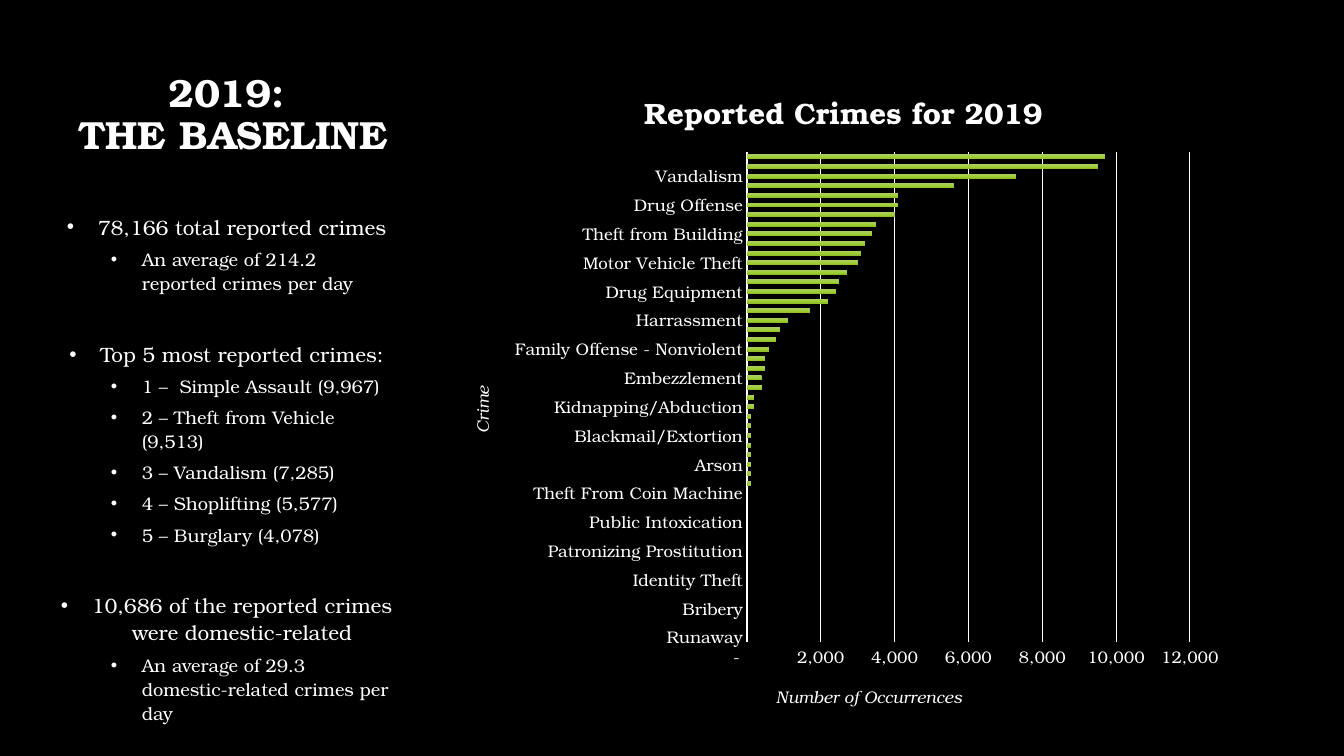
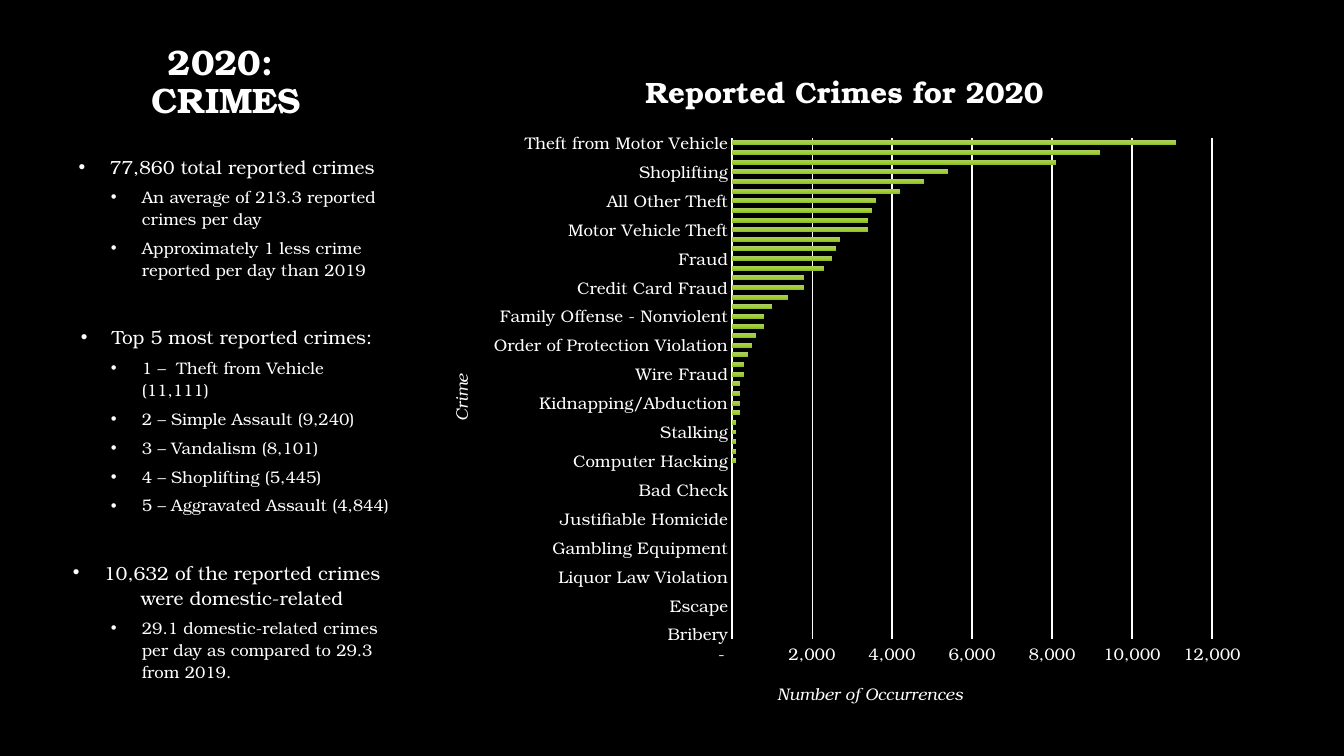
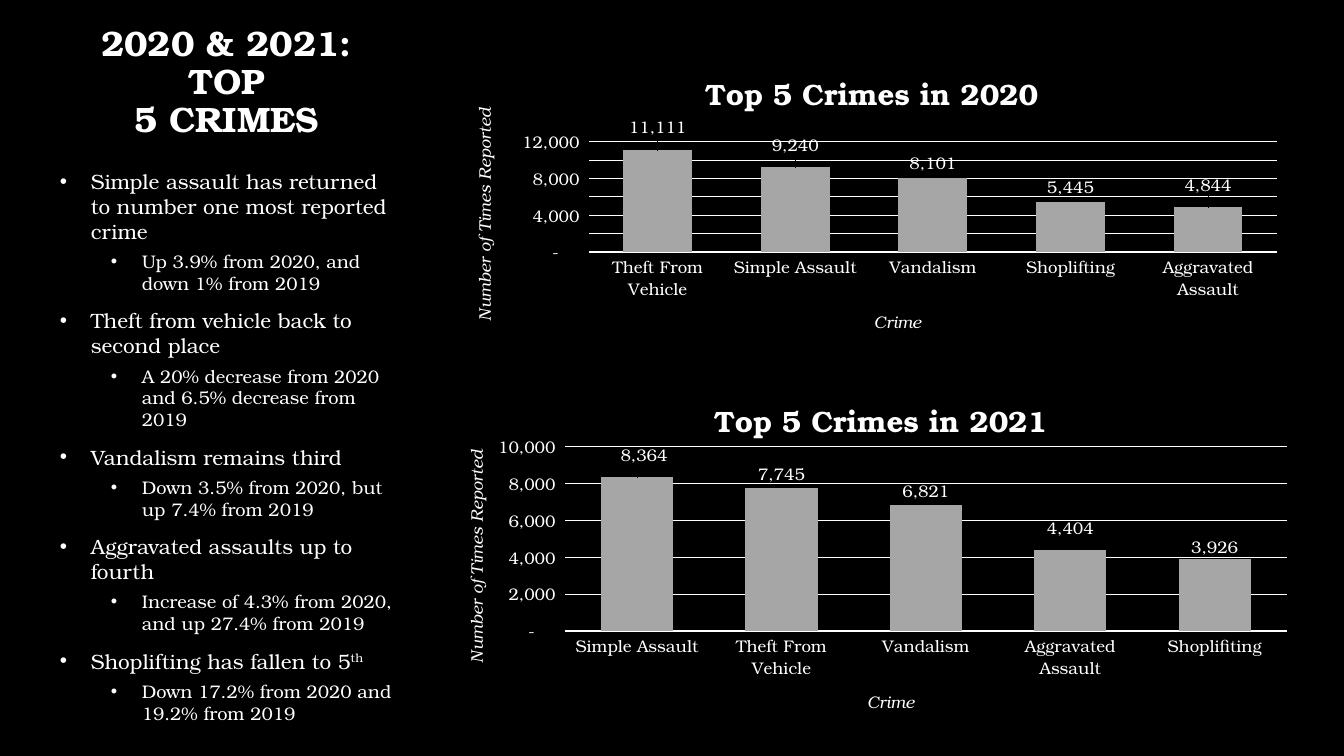
from dataclasses import dataclass, field
from typing import Any

import pptx
import pptx.chart.data
import pptx.dml.color
import pptx.enum.chart
import pptx.enum.text
import pptx.oxml
import pptx.oxml.ns
import pptx.util

SLIDE_W, SLIDE_H = 1344, 756
EMU_PER_PX = 12192000 / SLIDE_W
NUMBER_FORMAT = '_(* #,##0_);_(* \\(#,##0\\);_(* "-"??_);_(@_)'
BAR = pptx.enum.chart.XL_CHART_TYPE.BAR_CLUSTERED
COLUMN = pptx.enum.chart.XL_CHART_TYPE.COLUMN_CLUSTERED


@dataclass(frozen=True)
class Theme:
    font: str = "TeX Gyre Bonum"
    bullet_font: str = "Arial"
    back: str = "000000"
    ink: str = "FFFFFF"
    column: str = "A6A6A6"
    bar_stops: tuple = ((0, "ABCC69"), (69, "9ECF2E"), (100, "90BC2A"))
    chart_title: float = 21
    chart_text: float = 12


THEME = Theme()


@dataclass(frozen=True)
class Box:
    x: int
    y: int
    w: int
    h: int


@dataclass(frozen=True)
class Bullet:
    text: str
    level: int = 0
    gap: float = 0
    raised: str = ""


@dataclass(frozen=True)
class Panel:
    """Title and bullets in the left column."""
    title: str
    title_box: Box
    title_size: float
    body_box: Box
    sizes: tuple[float, float]
    bullets: list[Bullet]
    centred: bool = True
    spacing: float = 1.1


@dataclass(frozen=True)
class ChartSpec:
    """Box, plot and title corners are all in slide px."""
    kind: Any
    title: str
    across: str
    upward: str
    box: Box
    plot: Box
    title_at: tuple[int, int]
    across_at: tuple[int, int]
    upward_at: tuple[int, int]
    top: int
    names: list[str]
    values: list[int]
    label_shifts: dict[int, tuple[int, int]] = field(default_factory=dict)


def px(n: float) -> int:
    return pptx.util.Emu(round(n * EMU_PER_PX))


def rgb(value: str) -> pptx.dml.color.RGBColor:
    return pptx.dml.color.RGBColor.from_string(value)


def to_xml(body: str) -> Any:
    """Parse one element that may use the a: and c: prefixes."""
    return pptx.oxml.parse_xml(f"<root {pptx.oxml.ns.nsdecls('a', 'c')}>{body}</root>")[0]


def style_font(font: Any, size: float, bold: bool = False, italic: bool = False) -> None:
    font.name, font.size = THEME.font, pptx.util.Pt(size)
    font.bold, font.italic = bold, italic
    font.color.rgb = rgb(THEME.ink)


def write(p: Any, text: str, *, size: float, bold: bool = False,
          italic: bool = False, raised: bool = False) -> None:
    """Add text to a paragraph; a newline becomes a line break."""
    for i, line in enumerate(text.split("\n")):
        if i:
            p.add_line_break()
        r = p.add_run()
        r.text = line
        style_font(r.font, size, bold, italic)
        if raised:
            r.font._element.set("baseline", "30000")


def add_frame(slide: Any, box: Box, anchor: Any) -> Any:
    sp = slide.shapes.add_textbox(px(box.x), px(box.y), px(box.w), px(box.h))
    tf = sp.text_frame
    tf.word_wrap = True
    tf.vertical_anchor = anchor
    return tf


def add_panel(slide: Any, panel: Panel) -> None:
    align = pptx.enum.text.PP_ALIGN
    anchor = pptx.enum.text.MSO_ANCHOR
    p = add_frame(slide, panel.title_box, anchor.BOTTOM).paragraphs[0]
    p.alignment, p.line_spacing = align.CENTER, 0.9
    write(p, panel.title, size=panel.title_size, bold=True)

    tf = add_frame(slide, panel.body_box, anchor.TOP)
    for i, bullet in enumerate(panel.bullets):
        p = tf.add_paragraph() if i else tf.paragraphs[0]
        p.level = bullet.level
        centred = panel.centred and bullet.level == 0
        p.alignment = align.CENTER if centred else align.LEFT
        p.line_spacing = panel.spacing
        p.space_before = pptx.util.Pt((10, 5)[bullet.level] + bullet.gap)
        pPr = p._p.get_or_add_pPr()
        pPr.set("marL", str(px((31, 82)[bullet.level])))
        pPr.set("indent", str(-px(31)))
        pPr.append(to_xml(f'<a:buFont typeface="{THEME.bullet_font}"/>'))
        pPr.append(to_xml('<a:buChar char="•"/>'))
        size = panel.sizes[bullet.level]
        write(p, bullet.text, size=size)
        if bullet.raised:
            write(p, bullet.raised, size=size, raised=True)


def set_layout(parent: Any, index: int, x: float, y: float,
               size: tuple[float, float] | None = None, mode: str = "edge") -> None:
    """Place a chart part by fractions of the chart area."""
    old = parent.find(pptx.oxml.ns.qn("c:layout"))
    if old is not None:
        parent.remove(old)
    parts = '<c:layoutTarget val="inner"/>' if size else ""
    if mode == "edge":
        parts += '<c:xMode val="edge"/><c:yMode val="edge"/>'
    parts += f'<c:x val="{x:.4f}"/><c:y val="{y:.4f}"/>'
    if size:
        parts += f'<c:w val="{size[0]:.4f}"/><c:h val="{size[1]:.4f}"/>'
    parent.insert(index, to_xml(f"<c:layout><c:manualLayout>{parts}</c:manualLayout></c:layout>"))


def set_title(title: Any, text: str, at: tuple[int, int], box: Box, *,
              upright: bool = False, **look: Any) -> None:
    tf = title.text_frame
    write(tf.paragraphs[0], text, **look)
    if upright:
        bodyPr = tf._txBody.bodyPr
        bodyPr.set("rot", "-5400000")
        bodyPr.set("vert", "horz")
    set_layout(title._element, 1, (at[0] - box.x) / box.w, (at[1] - box.y) / box.h)


def style_axes(chart: Any, top: int) -> None:
    cat, val = chart.category_axis, chart.value_axis
    for axis in (cat, val):
        axis.major_tick_mark = axis.minor_tick_mark = pptx.enum.chart.XL_TICK_MARK.NONE
        style_font(axis.tick_labels.font, THEME.chart_text)
    cat.has_major_gridlines = False
    cat.format.line.color.rgb = rgb(THEME.ink)
    cat.format.line.width = pptx.util.Pt(1)
    val.minimum_scale, val.maximum_scale, val.major_unit = 0, top, 2000
    val.format.line.fill.background()
    val.has_major_gridlines = True
    val.major_gridlines.format.line.color.rgb = rgb(THEME.ink)
    val.major_gridlines.format.line.width = pptx.util.Pt(0.75)
    val.tick_labels.number_format = NUMBER_FORMAT
    val.tick_labels.number_format_is_linked = False


def fill_bars(series: Any) -> None:
    stops = "".join(f'<a:gs pos="{pos * 1000}"><a:srgbClr val="{color}"/></a:gs>'
                    for pos, color in THEME.bar_stops)
    series._element.get_or_add_spPr().append(to_xml(
        f'<a:gradFill rotWithShape="1"><a:gsLst>{stops}</a:gsLst>'
        '<a:lin ang="5400000" scaled="0"/></a:gradFill>'))


def label_columns(series: Any, spec: ChartSpec) -> None:
    """Label each column, without leader lines to the labels that are moved."""
    outside = pptx.enum.chart.XL_LABEL_POSITION.OUTSIDE_END
    labels = series.data_labels
    labels.show_value = True
    labels.number_format, labels.number_format_is_linked = NUMBER_FORMAT, False
    labels.position = outside
    style_font(labels.font, THEME.chart_text)
    for i in spec.label_shifts:
        label = series.points[i].data_label
        style_font(label.font, THEME.chart_text)
        label.position = outside
    number_format = NUMBER_FORMAT.replace('"', "&quot;")
    shifted = labels._element.findall(pptx.oxml.ns.qn("c:dLbl"))
    for dLbl, (_, (dx, dy)) in zip(shifted, sorted(spec.label_shifts.items())):
        set_layout(dLbl, 1, dx / spec.box.w, dy / spec.box.h, mode="offset")
        dLbl.insert(2, to_xml(f'<c:numFmt formatCode="{number_format}" sourceLinked="0"/>'))
    labels._element.append(to_xml(
        '<c:extLst><c:ext uri="{CE6537A1-D6FC-4f65-9D91-7224C49458BB}" '
        'xmlns:c15="http://schemas.microsoft.com/office/drawing/2012/chart">'
        '<c15:showLeaderLines val="0"/></c:ext></c:extLst>'))


def add_chart(slide: Any, spec: ChartSpec) -> None:
    data = pptx.chart.data.CategoryChartData()
    data.categories = spec.names
    data.add_series("Series 1", spec.values)
    box, inner = spec.box, spec.plot
    chart = slide.shapes.add_chart(spec.kind, px(box.x), px(box.y),
                                   px(box.w), px(box.h), data).chart
    style_font(chart.font, 10)
    chart.has_legend = False
    chart.has_title = True
    set_title(chart.chart_title, spec.title, spec.title_at, box,
              size=THEME.chart_title, bold=True)
    style_axes(chart, spec.top)
    across, upward = chart.category_axis, chart.value_axis
    if spec.kind == BAR:
        across, upward = upward, across
    look = dict(size=THEME.chart_text, italic=True)
    set_title(across.axis_title, spec.across, spec.across_at, box, **look)
    set_title(upward.axis_title, spec.upward, spec.upward_at, box, upright=True, **look)
    set_layout(chart._chartSpace.chart.plotArea, 0, (inner.x - box.x) / box.w,
               (inner.y - box.y) / box.h, (inner.w / box.w, inner.h / box.h))

    plot = chart.plots[0]
    plot.vary_by_categories = False
    series = plot.series[0]
    if spec.kind == BAR:
        plot.gap_width, plot.overlap = 115, -20
        fill_bars(series)
    else:
        plot.gap_width, plot.overlap = 100, -24
        series.format.fill.solid()
        series.format.fill.fore_color.rgb = rgb(THEME.column)
        label_columns(series, spec)


NAMES_2019 = [
    "Runaway", "Liquor Law Violation", "Escape", "Bribery", "Promoting Prostitution",
    "Possession of Stolen Property", "Identity Theft", "Justifiable Homicide",
    "Pornographic Material", "Patronizing Prostitution", "Gambling Equipment", "DUI",
    "Public Intoxication", "Disorderly Conduct", "Computer Hacking",
    "Theft From Coin Machine", "Purse Snatching", "Bad Check", "Arson", "Murder",
    "All Other Offenses", "Blackmail/Extortion", "Stalking", "Prostitution",
    "Kidnapping/Abduction", "Wire Fraud", "Trespassing", "Embezzlement", "Pick-Pocket",
    "Order of Protection Violation", "Family Offense - Nonviolent", "Impersonation",
    "Counterfeiting/Forgery", "Harrassment", "Theft of Motor Vehicle Parts",
    "Credit Card Fraud", "Drug Equipment", "Robbery", "Fraud", "Motor Vehicle Theft",
    "Weapon Law Violation", "All Other Theft", "Theft from Building", "Intimidation",
    "Aggravated Assault", "Drug Offense", "Burglary", "Shoplifting", "Vandalism",
    "Theft from Motor Vehicle", "Simple Assault"]
VALUES_2019 = 16 * [0] + 8 * [100] + [
    200, 200, 400, 400, 500, 500, 600, 800, 900, 1100, 1700, 2200, 2400, 2500, 2700, 3000,
    3100, 3200, 3400, 3500, 4000, 4100, 4100, 5600, 7300, 9500, 9700]
NAMES_2020 = [
    "Bribery", "Welfare Fraud", "Identity Theft", "Escape", "Promoting Prostitution",
    "Human Trafficking", "Liquor Law Violation", "Possession of Stolen Property",
    "Patronizing Prostitution", "Gambling Equipment", "Pornographic Material", "DUI",
    "Justifiable Homicide", "Public Intoxication", "Disorderly Conduct", "Bad Check",
    "Purse Snatching", "Theft From Coin Machine", "Computer Hacking", "Prostitution",
    "Murder", "Stalking", "Arson", "Blackmail/Extortion", "Kidnapping/Abduction",
    "Pick-Pocket", "All Other Offenses", "Wire Fraud", "Embezzlement", "Trespassing",
    "Order of Protection Violation", "Counterfeiting/Forgery", "Impersonation",
    "Family Offense - Nonviolent", "Harrassment", "Drug Equipment", "Credit Card Fraud",
    "Theft of Motor Vehicle Parts", "Robbery", "Fraud", "Theft from Building",
    "Drug Offense", "Motor Vehicle Theft", "Intimidation", "Weapon Law Violation",
    "All Other Theft", "Burglary", "Aggravated Assault", "Shoplifting", "Vandalism",
    "Simple Assault", "Theft from Motor Vehicle"]
VALUES_2020 = 18 * [0] + 5 * [100] + 4 * [200] + [
    300, 300, 400, 500, 600, 800, 800, 1000, 1400, 1800, 1800, 2300, 2500, 2600, 2700,
    3400, 3400, 3500, 3600, 4200, 4800, 5400, 8100, 9200, 11100]

SLIDES = [
    (Panel("2019:\n THE BASELINE", Box(50, 46, 353, 117), 28,
           Box(50, 207, 353, 503), (14.8, 13), [
               Bullet("78,166 total reported crimes"),
               Bullet("An average of 214.2 reported crimes per day", 1),
               Bullet("Top 5 most reported crimes:", gap=22),
               Bullet("1 –  Simple Assault (9,967)", 1),
               Bullet("2 – Theft from Vehicle (9,513)", 1),
               Bullet("3 – Vandalism (7,285)", 1),
               Bullet("4 – Shoplifting (5,577)", 1),
               Bullet("5 – Burglary (4,078)", 1),
               Bullet("10,686 of the reported crimes were domestic-related", gap=22),
               Bullet("An average of 29.3 domestic-related crimes per day", 1)]),
     [ChartSpec(BAR, "Reported Crimes for 2019", "Number of Occurrences", "Crime",
                Box(449, 68, 791, 662), Box(747, 152, 443, 490),
                (639, 82), (773, 681), (466, 383), 12000, NAMES_2019, VALUES_2019)]),
    (Panel("2020: \nCRIMES", Box(50, 65, 353, 61), 25.2,
           Box(50, 148, 353, 547), (13.6, 11.9), [
               Bullet("77,860 total reported crimes"),
               Bullet("An average of 213.3 reported crimes per day", 1),
               Bullet("Approximately 1 less crime reported per day than 2019", 1),
               Bullet("Top 5 most reported crimes:", gap=21),
               Bullet("1 –  Theft from Vehicle (11,111)", 1),
               Bullet("2 – Simple Assault (9,240)", 1),
               Bullet("3 – Vandalism (8,101)", 1),
               Bullet("4 – Shoplifting (5,445)", 1),
               Bullet("5 – Aggravated Assault (4,844)", 1),
               Bullet("10,632 of the reported crimes were domestic-related", gap=21),
               Bullet("29.1 domestic-related crimes per day as compared to 29.3 from 2019.", 1)]),
     [ChartSpec(BAR, "Reported Crimes for 2020", "Number of Occurrences", "Crime",
                Box(427, 46, 835, 680), Box(732, 138, 480, 501),
                (640, 61), (774, 678), (445, 371), 12000, NAMES_2020, VALUES_2020)]),
    (Panel("2020 & 2021: TOP\n5 CRIMES", Box(50, 40, 353, 105), 25.2,
           Box(50, 164, 353, 563), (14.8, 13), [
               Bullet("Simple assault has returned to number one most reported crime"),
               Bullet("Up 3.9% from 2020, and down 1% from 2019", 1),
               Bullet("Theft from vehicle back to second place"),
               Bullet("A 20% decrease from 2020 and 6.5% decrease from 2019", 1),
               Bullet("Vandalism remains third"),
               Bullet("Down 3.5% from 2020, but up 7.4% from 2019", 1),
               Bullet("Aggravated assaults up to fourth"),
               Bullet("Increase of 4.3% from 2020, and up 27.4% from 2019", 1),
               Bullet("Shoplifting has fallen to 5", raised="th"),
               Bullet("Down 17.2% from 2020 and 19.2% from 2019", 1)],
           centred=False, spacing=1.0),
     [ChartSpec(COLUMN, "Top 5 Crimes in 2021", "Crime", "Number of Times Reported",
                Box(460, 382, 844, 346), Box(565, 447, 722, 184),
                (709, 390), (864, 686), (459, 447), 10000,
                ["Simple Assault", "Theft From Vehicle", "Vandalism",
                 "Aggravated Assault", "Shoplifiting"],
                [8364, 7745, 6821, 4404, 3926], {0: (7, -7), 3: (0, -7), 4: (0, 3)}),
      ChartSpec(COLUMN, "Top 5 Crimes in 2020", "Crime", "Number of Times Reported",
                Box(451, 52, 844, 302), Box(589, 142, 688, 110),
                (700, 63), (871, 306), (468, 105), 12000,
                ["Theft From Vehicle", "Simple Assault", "Vandalism",
                 "Shoplifting", "Aggravated Assault"],
                [11111, 9240, 8101, 5445, 4844], {0: (0, -8), 1: (0, -8), 4: (0, -8)})]),
]


def main() -> None:
    prs = pptx.Presentation()
    prs.slide_width, prs.slide_height = px(SLIDE_W), px(SLIDE_H)
    fill = prs.slide_master.background.fill
    fill.solid()
    fill.fore_color.rgb = rgb(THEME.back)
    for panel, charts in SLIDES:
        slide = prs.slides.add_slide(prs.slide_layouts[6])
        add_panel(slide, panel)
        for spec in charts:
            add_chart(slide, spec)
    prs.save("out.pptx")


if __name__ == "__main__":
    main()
